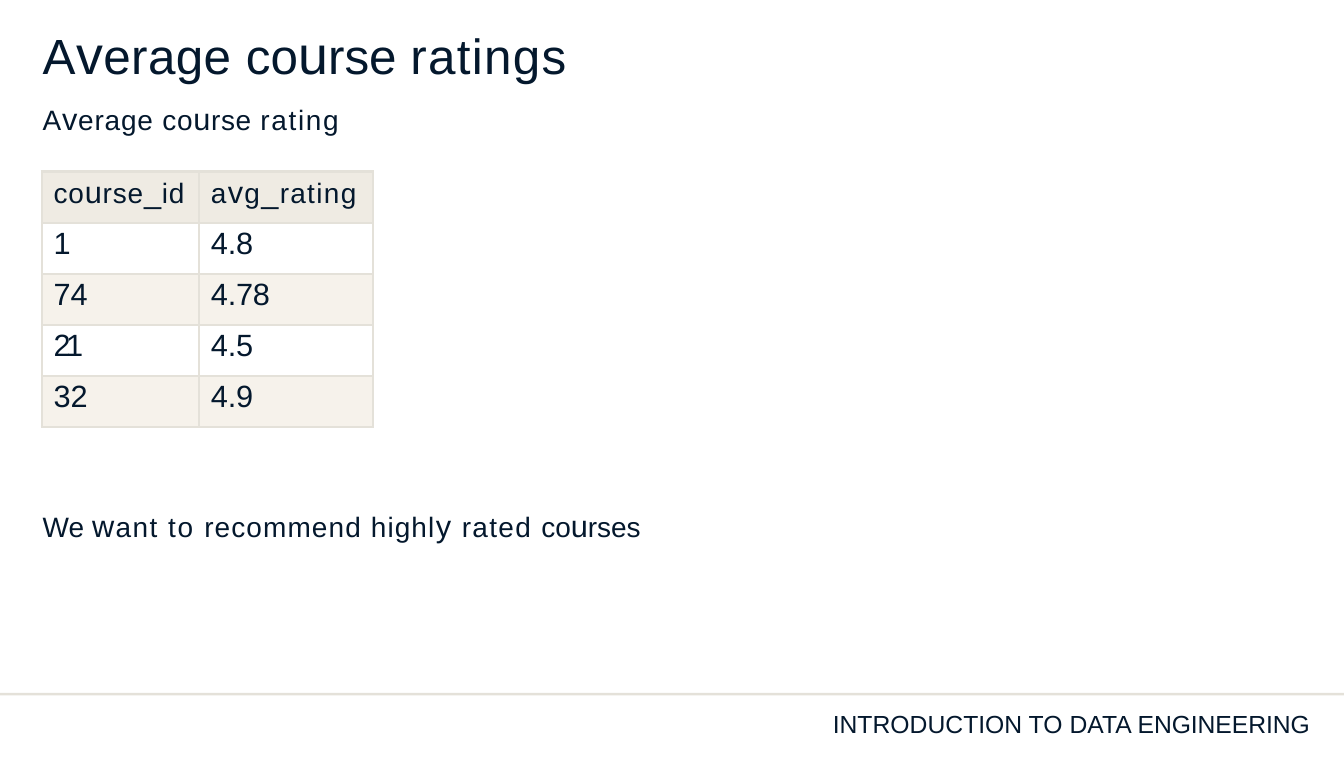
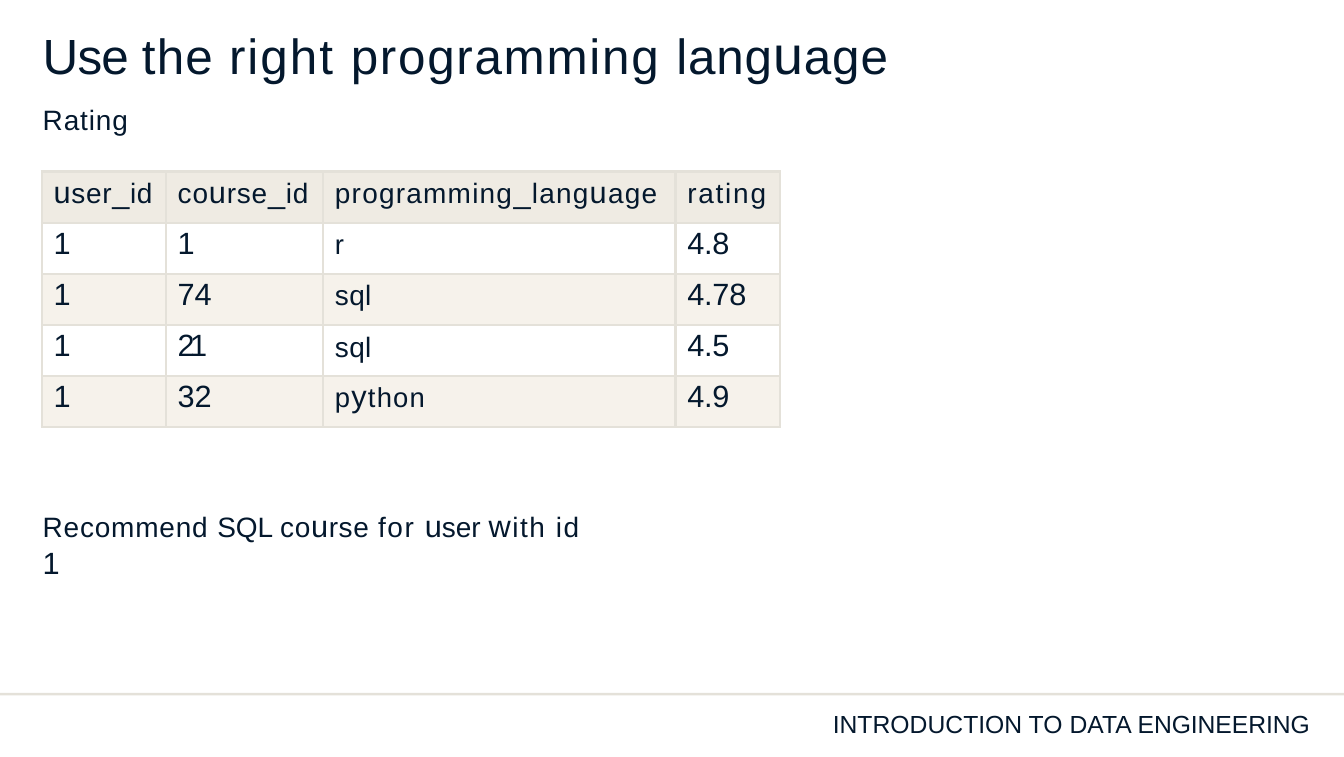
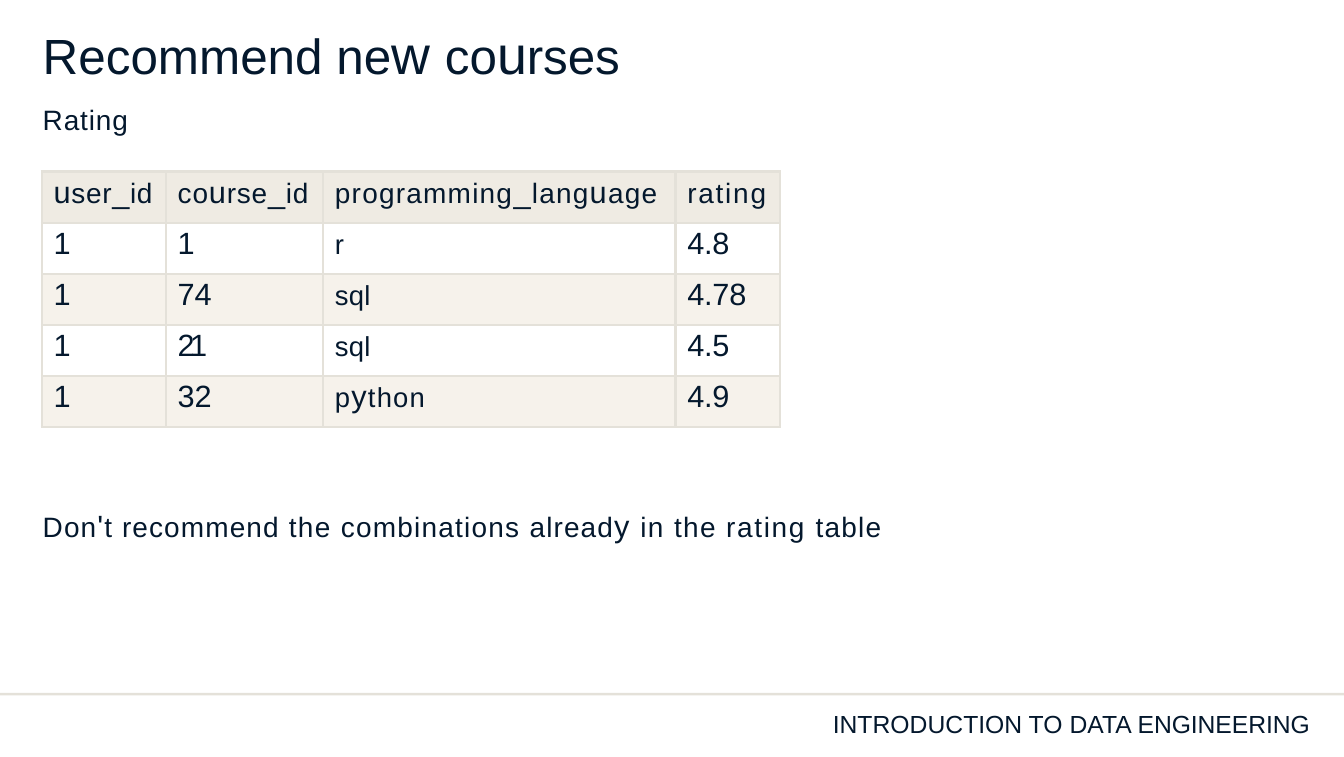
import dataclasses
import typing

import lxml.etree
import pptx
import pptx.dml.color
import pptx.enum.shapes
import pptx.enum.text
import pptx.oxml.ns
import pptx.util

Inches = pptx.util.Inches
Pt = pptx.util.Pt

COLORS = {"ink": "04182D", "line": "E4E1D9", "head": "EFEBE3", "band": "F6F2EB"}
FONT = "Arial"
TALL = "uvwy_'.0123456789"
LEFT = 0.52
GRID = 3.24


@dataclasses.dataclass(frozen=True)
class Span:
    text: str
    gap: float = 0


@dataclasses.dataclass(frozen=True)
class Style:
    size: float
    tall: float
    before: float = 1.1


@dataclasses.dataclass(frozen=True)
class Box:
    left: float
    top: float
    width: float
    height: float

    def place(self) -> tuple:
        return tuple(Inches(v) for v in (self.left, self.top, self.width, self.height))


@dataclasses.dataclass(frozen=True)
class Cell:
    spans: list[Span]
    size: float = 25.5


@dataclasses.dataclass(frozen=True)
class Page:
    title: list[Span]
    label: list[Span]
    label_box: Box
    widths: list[float]
    rows: list[list[Cell]]
    note: list[Span]
    note_width: float


TITLE = Style(45, 49, 1.2)
BODY = Style(25.5, 28)
FOOT = Style(22.5, 22.5, 0)


def color(name: str) -> pptx.dml.color.RGBColor:
    return pptx.dml.color.RGBColor.from_string(COLORS[name])


def split(text: str) -> list[tuple[str, bool]]:
    parts = []
    for char in text:
        last = parts[-1][1] if parts else False
        tall = char in TALL or (char == " " and last)
        if parts and tall == last:
            parts[-1] = (parts[-1][0] + char, tall)
        else:
            parts.append((char, tall))
    return parts


def write(para: typing.Any, spans: list[Span], style: Style, indent: float = 0.02) -> None:
    para.alignment = pptx.enum.text.PP_ALIGN.LEFT
    para.space_before = Pt(style.before)
    props = para._p.get_or_add_pPr()
    props.set("marL", str(Inches(indent)))
    props.set("indent", "0")
    for span in spans:
        for text, tall in split(span.text):
            run = para.add_run()
            run.text = text
            run.font.name = FONT
            run.font.size = Pt(style.tall if tall else style.size)
            run.font.color.rgb = color("ink")
            run._r.get_or_add_rPr().set("spc", str(round(span.gap * 100)))


def fill_frame(shape: typing.Any, spans: list[Span], style: Style, top: float = 0.02) -> typing.Any:
    frame = shape.text_frame
    frame.word_wrap = True
    frame.auto_size = pptx.enum.text.MSO_AUTO_SIZE.SHAPE_TO_FIT_TEXT
    frame.vertical_anchor = pptx.enum.text.MSO_ANCHOR.TOP
    frame.margin_left = frame.margin_right = frame.margin_bottom = 0
    frame.margin_top = Inches(top)
    write(frame.paragraphs[0], spans, style)
    return frame.paragraphs[0]


def add_text(slide: typing.Any, box: Box, spans: list[Span], style: Style, top: float = 0.02) -> typing.Any:
    return fill_frame(slide.shapes.add_textbox(*box.place()), spans, style, top)


def add_edges(cell: typing.Any) -> None:
    props = cell._tc.get_or_add_tcPr()
    for spot, side in enumerate(("lnL", "lnR", "lnT", "lnB")):
        line = lxml.etree.Element(pptx.oxml.ns.qn("a:" + side), w=str(Pt(2.25)))
        fill = lxml.etree.SubElement(line, pptx.oxml.ns.qn("a:solidFill"))
        lxml.etree.SubElement(fill, pptx.oxml.ns.qn("a:srgbClr"), val=COLORS["line"])
        props.insert(spot, line)


def fill_cell(cell: typing.Any, data: Cell, row: int) -> None:
    has_tall = any(tall for span in data.spans for _, tall in split(span.text))
    before = 3.4 + (0 if has_tall else BODY.tall - data.size)
    cell.margin_left = cell.margin_right = cell.margin_bottom = 0
    cell.margin_top = Pt(before + 0.2)
    write(cell.text_frame.paragraphs[0], data.spans, Style(data.size, BODY.tall, before), 0.15)
    if row % 2:
        cell.fill.background()
    else:
        cell.fill.solid()
        cell.fill.fore_color.rgb = color("band" if row else "head")
    add_edges(cell)


def add_grid(slide: typing.Any, widths: list[float], rows: list[list[Cell]]) -> None:
    box = Box(0.53, 2.17, sum(widths), GRID)
    table = slide.shapes.add_table(len(rows), len(widths), *box.place()).table
    table.first_row = table.horz_banding = False
    for col, width in zip(table.columns, widths):
        col.width = Inches(width)
    for r, cells in enumerate(rows):
        table.rows[r].height = Inches(GRID / len(rows))
        for c, data in enumerate(cells):
            fill_cell(table.cell(r, c), data, r)


def add_foot(slide: typing.Any) -> None:
    rule = slide.shapes.add_shape(
        pptx.enum.shapes.MSO_SHAPE.RECTANGLE, *Box(0, 8.77, 17.01, 0.03).place())
    rule.shadow.inherit = False
    rule.fill.solid()
    rule.fill.fore_color.rgb = color("line")
    rule.line.fill.background()
    spans = [Span("INTRODUCTION TO DATA "), Span("ENGINEERING", -0.1)]
    para = add_text(slide, Box(10.52, 9.04, 6.15, 0.34), spans, FOOT, 0)
    para.line_spacing = Pt(22.4)


def add_page(deck: typing.Any, page: Page) -> None:
    slide = deck.slides.add_slide(deck.slide_layouts[5])
    title = slide.shapes.title
    title.left, title.top, title.width, title.height = Box(LEFT, 0.24, 11, 0.85).place()
    fill_frame(title, page.title, TITLE)
    add_grid(slide, page.widths, page.rows)
    add_text(slide, page.label_box, page.label, BODY)
    add_text(slide, Box(LEFT, 6.39, page.note_width, 0.5), page.note, BODY)
    add_foot(slide)


def digits(text: str) -> Cell:
    return Cell([Span(text, {"1": 0, "21": -4.3}.get(text, -0.2))])


COURSE = Cell([Span("course_id", 0.7)])
SCORES = [("1", "4.8"), ("74", "4.78"), ("21", "4.5"), ("32", "4.9")]


def mean_rows() -> list[list[Cell]]:
    head = [COURSE, Cell([Span("avg_rating", 1.2)])]
    return [head] + [[digits(course), digits(score)] for course, score in SCORES]


def user_rows(sql_size: float) -> list[list[Cell]]:
    head = [
        Cell([Span("user_id", 0.6)]),
        COURSE,
        Cell([Span("programming_language", 1.1)]),
        Cell([Span("rating", 1.6)]),
    ]
    sql = Cell([Span("sql", 0.3)], sql_size)
    langs = [Cell([Span("r")], 25), sql, sql, Cell([Span("python", 1.1)], 25)]
    return [head] + [
        [digits("1"), digits(course), lang, digits(score)]
        for (course, score), lang in zip(SCORES, langs)
    ]


RATING = [Span("Rating", 0.8)]
RATING_BOX = Box(LEFT, 1.28, 1.2, 0.46)
USER_COLS = [1.57, 1.99, 4.46, 1.32]

PAGES = [
    Page(
        [Span("Average ", 0.4), Span("course "), Span("ratings", 1.2)],
        [Span("Average ", 0.7), Span("course ", 0.6), Span("rating", 1.5)],
        Box(LEFT, 1.24, 3.9, 0.5),
        [1.99, 2.2],
        mean_rows(),
        [Span("We "), Span("want ", 1.3), Span("to ", 1.5), Span("recommend highly ", 1),
         Span("rated ", 1.2), Span("courses", -0.1)],
        7.68,
    ),
    Page(
        [Span("Use ", -0.7), Span("the ", 1.1), Span("right ", 1.8),
         Span("programming ", 1.6), Span("language", 0.8)],
        RATING,
        RATING_BOX,
        USER_COLS,
        user_rows(25.5),
        [Span("Recommend ", 0.7), Span("SQL "), Span("course ", 0.6), Span("for ", 1.4),
         Span("user "), Span("with ", 1.4), Span("id ", 1.5), Span("1", -6)],
        7.11,
    ),
    Page(
        [Span("Recommend new "), Span("courses", -0.1)],
        RATING,
        RATING_BOX,
        USER_COLS,
        user_rows(25),
        [Span("Don't recommend ", 1), Span("the ", 1.2), Span("combinations ", 1.1),
         Span("already ", 1), Span("in ", 1.3), Span("the ", 1.2),
         Span("rating ", 1.5), Span("table", 1.1)],
        10.72,
    ),
]


def main() -> None:
    deck = pptx.Presentation()
    deck.slide_width = Inches(17.01)
    deck.slide_height = Inches(9.58)
    for page in PAGES:
        add_page(deck, page)
    deck.save("out.pptx")


if __name__ == "__main__":
    main()
